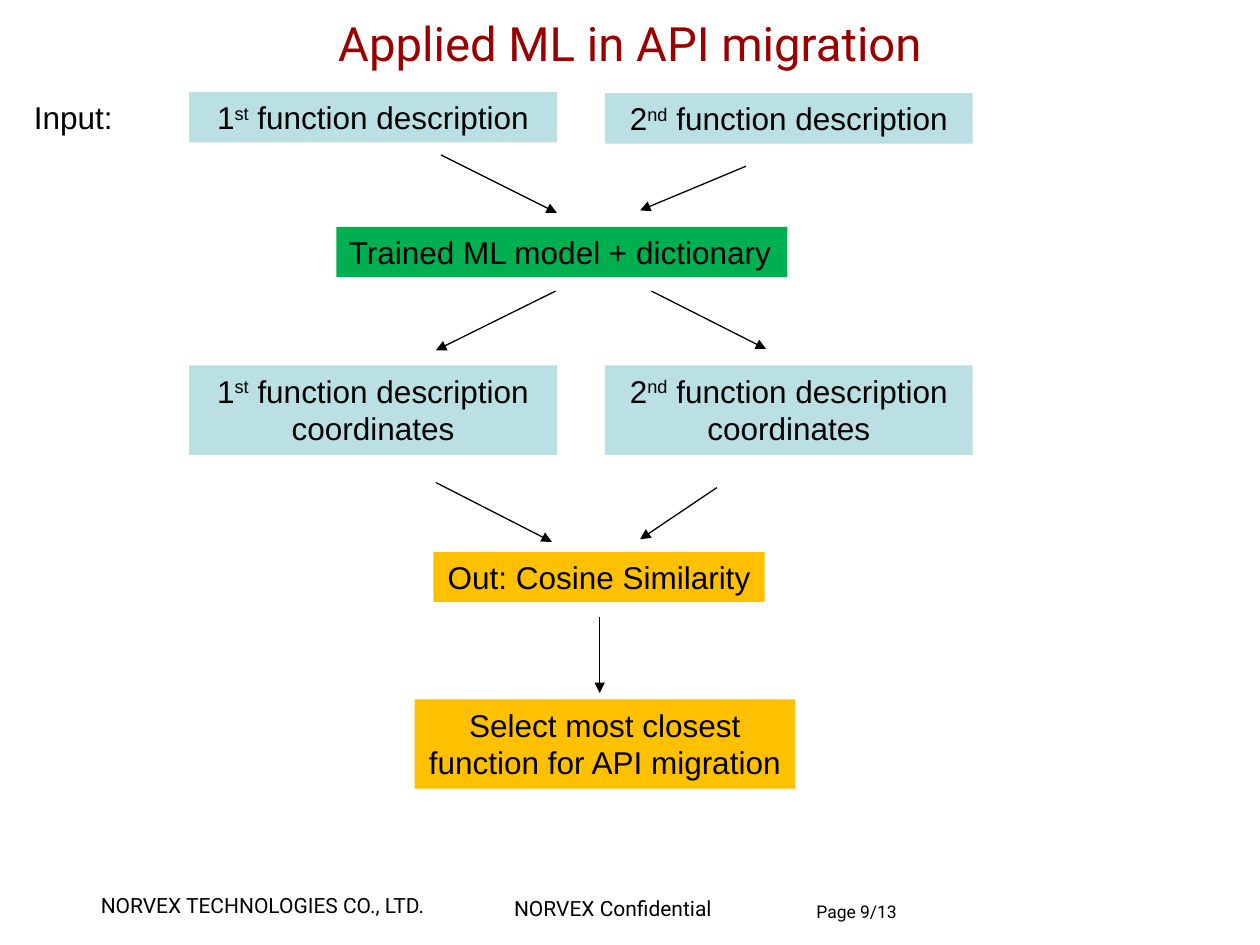
from lxml.etree import SubElement
from pptx import Presentation
from pptx.dml.color import RGBColor
from pptx.enum.shapes import MSO_CONNECTOR, MSO_SHAPE
from pptx.enum.text import MSO_ANCHOR, PP_ALIGN
from pptx.oxml.ns import qn
from pptx.util import Inches, Pt

COLORS = {
    "text": "000000",
    "title": "990000",
    "description": "BBE0E3",
    "model": "00B050",
    "result": "FFC000",
}
LEFT, CENTER = PP_ALIGN.LEFT, PP_ALIGN.CENTER
ORDINALS = ("1", "st"), ("2", "nd")


def write(shape, text, size=18, font="Arial", color="text", align=LEFT,
          anchor=MSO_ANCHOR.TOP, margins=(0.1, 0.05), wrap=True):
    """Fill a shape with text; parts between bars are raised, \\n breaks a line."""
    frame = shape.text_frame
    frame.word_wrap = wrap
    frame.vertical_anchor = anchor
    frame.margin_left = frame.margin_right = Inches(margins[0])
    frame.margin_top = frame.margin_bottom = Inches(margins[1])
    paragraph = frame.paragraphs[0]
    paragraph.alignment = align
    for i, part in enumerate(text.split("|")):
        for j, line in enumerate(part.split("\n")):
            if j:
                paragraph.add_line_break()
            run = paragraph.add_run()
            run.text = line
            run.font.size = Pt(size)
            run.font.name = font
            run.font.color.rgb = RGBColor.from_string(COLORS[color])
            if i % 2:
                run._r.get_or_add_rPr().set("baseline", "30000")


def add_label(slide, box, text, **style):
    write(slide.shapes.add_textbox(*map(Inches, box)), text, **style)


def add_step(slide, box, text, fill, **style):
    step = slide.shapes.add_shape(MSO_SHAPE.RECTANGLE, *map(Inches, box))
    step.shadow.inherit = False
    step.fill.solid()
    step.fill.fore_color.rgb = RGBColor.from_string(COLORS[fill])
    step.line.fill.background()
    write(step, text, **{"align": CENTER, **style})


def add_arrow(slide, start, end):
    arrow = slide.shapes.add_connector(
        MSO_CONNECTOR.STRAIGHT, *map(Inches, (*start, *end)))
    arrow.line.color.rgb = RGBColor.from_string(COLORS["text"])
    arrow.line.width = Pt(0.75)
    SubElement(arrow.line._get_or_add_ln(), qn("a:tailEnd"), type="triangle")
    SubElement(arrow._element.spPr, qn("a:effectLst"))


def add_description_pair(slide, left, tops, height, ending=""):
    """Place the steps of both functions side by side."""
    width, gap = 2.92, 0.38
    for i, ((number, suffix), top) in enumerate(zip(ORDINALS, tops)):
        add_step(slide, (left + i * (width + gap), top, width, height),
                 f"{number}|{suffix}| function description{ending}", "description")


def add_flow(slide, left, top):
    """Place the flow from the two descriptions down to the selected function."""
    add_description_pair(slide, left, (top, top + 0.01), 0.4)
    add_step(slide, (left + 1.17, top + 1.07, 3.58, 0.4),
             "Trained ML model + dictionary", "model", align=LEFT, wrap=False)
    add_description_pair(slide, left, (top + 2.17,) * 2, 0.71, " coordinates")
    add_step(slide, (left + 1.94, top + 3.65, 2.63, 0.4),
             "Out: Cosine Similarity", "result", wrap=False)
    add_step(slide, (left + 1.79, top + 4.82, 3.02, 0.71),
             "Select most closest\nfunction for API migration", "result", wrap=False)

    arrows = [
        ((2.0, 0.5), (2.92, 0.96)), ((4.42, 0.59), (3.58, 0.94)),
        ((2.91, 1.58), (1.96, 2.05)), ((3.67, 1.58), (4.58, 2.04)),
        ((1.96, 3.1), (2.88, 3.57)), ((4.19, 3.14), (3.58, 3.55)),
        ((3.26, 4.17), (3.26, 4.77)),
    ]
    for ends in arrows:
        add_arrow(slide, *((left + x, top + y) for x, y in ends))


def add_footer(slide, left, top):
    style = {"font": "Roboto", "size": 12, "margins": (0.09, 0.04)}
    add_label(slide, (left, top, 2.86, 0.29),
              "NORVEX TECHNOLOGIES CO., LTD.", **style, wrap=False)
    add_label(slide, (left + 3.28, top + 0.03, 2.23, 0.29),
              "NORVEX Confidential", **style)
    add_label(slide, (left + 5.77, top + 0.11, 1.16, 0.2), "Page 9/13",
              **{**style, "size": 10, "margins": (0, 0)})


def main():
    deck = Presentation()
    deck.slide_width, deck.slide_height = Inches(10), Inches(7.5)
    slide = deck.slides.add_slide(deck.slide_layouts[6])
    add_footer(slide, 0.71, 7.04)
    add_label(slide, (0, -0.01, 10, 0.69), "Applied ML in API migration",
              size=27, font="Roboto", color="title", align=CENTER,
              anchor=MSO_ANCHOR.MIDDLE, margins=(0.09, 0.04))
    add_label(slide, (0.17, 0.73, 0.83, 0.4), "Input:", wrap=False)
    add_flow(slide, 1.5, 0.73)
    deck.save("out.pptx")


if __name__ == "__main__":
    main()
